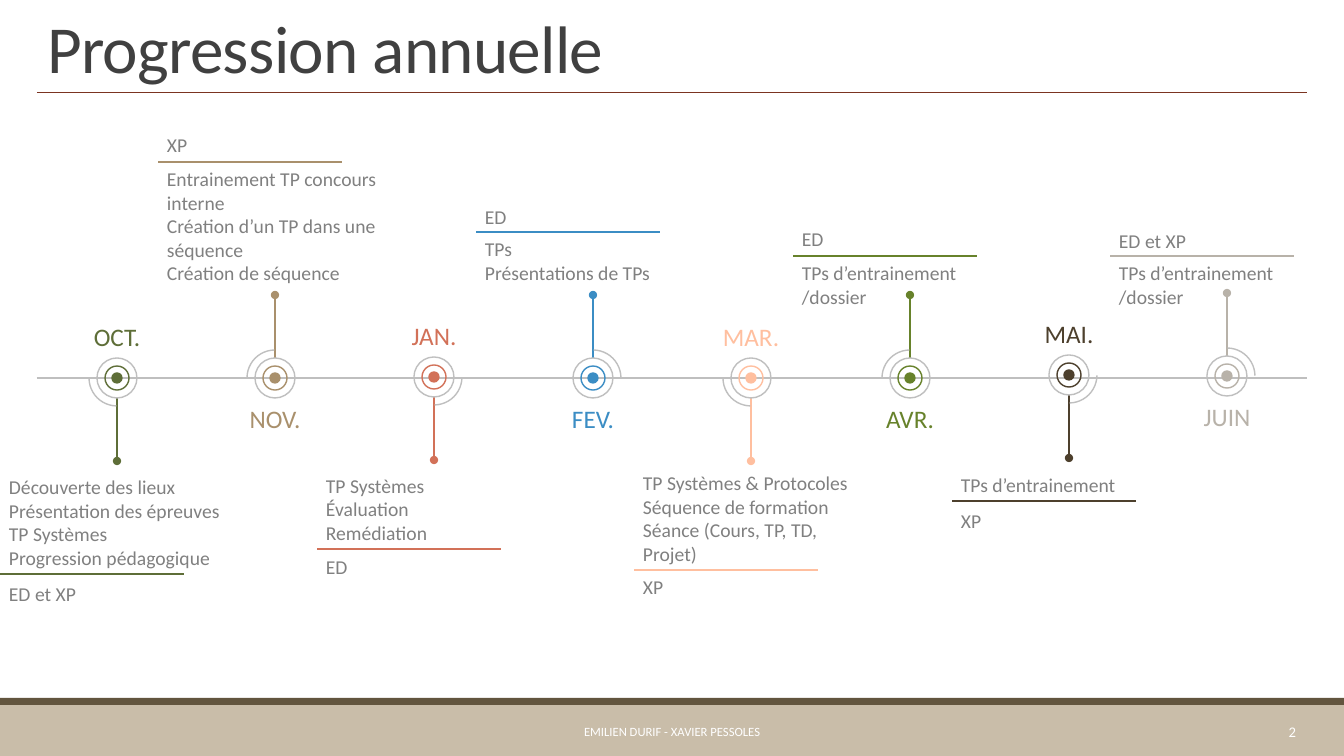
from pptx import Presentation
from pptx.dml.color import RGBColor
from pptx.enum.shapes import MSO_CONNECTOR, MSO_SHAPE
from pptx.enum.text import MSO_ANCHOR, MSO_AUTO_SIZE, PP_ALIGN
from pptx.oxml.ns import qn
from pptx.util import Emu, Pt
from lxml.etree import SubElement

SCALE = 914400 / 100.8
GREY = "BFBFBF"
WHITE = "FFFFFF"


def px(n):
    return Emu(round(n * SCALE))


def tint(code):
    return RGBColor.from_string(code)


class Board:
    font = "Calibri"
    ink = "808080"

    def __init__(self, deck):
        self.slide = deck.slides.add_slide(deck.slide_layouts[5])
        self.shapes = self.slide.shapes

    def fill(self, frame, lines, size, color, align, anchor):
        frame.word_wrap = True
        frame.auto_size = MSO_AUTO_SIZE.NONE
        frame.vertical_anchor = anchor
        for i, line in enumerate(lines):
            para = frame.add_paragraph() if i else frame.paragraphs[0]
            para.alignment = align
            run = para.add_run()
            run.text = line
            run.font.name = self.font
            run.font.size = Pt(size)
            run.font.color.rgb = tint(color)

    def title(self, line, x, y, w, h):
        shape = self.shapes.title
        shape.left, shape.top, shape.width, shape.height = map(px, (x, y, w, h))
        self.fill(shape.text_frame, [line], 48, "404040", PP_ALIGN.LEFT, MSO_ANCHOR.BOTTOM)
        para = shape.text_frame.paragraphs[0]
        para.line_spacing = 0.85
        para.runs[0].font._element.set("spc", "-50")

    def text(self, lines, x, y, w, h, size=14, color=ink,
             align=PP_ALIGN.LEFT, anchor=MSO_ANCHOR.TOP):
        box = self.shapes.add_textbox(px(x), px(y), px(w), px(h))
        self.fill(box.text_frame, lines, size, color, align, anchor)

    def shape(self, kind, x, y, w, h, fill=None, line=None):
        item = self.shapes.add_shape(kind, px(x), px(y), px(w), px(h))
        item.shadow.inherit = False
        if fill:
            item.fill.solid()
            item.fill.fore_color.rgb = tint(fill)
        else:
            item.fill.background()
        if line:
            item.line.color.rgb = tint(line)
            item.line.width = Pt(1)
        else:
            item.line.fill.background()
        return item

    def disc(self, x, y, r, line, fill=None):
        self.shape(MSO_SHAPE.OVAL, x - r, y - r, 2 * r, 2 * r, fill, line)

    def arc(self, x, y, r, right, up):
        item = self.shape(MSO_SHAPE.ARC, x - r, y - r, 2 * r, 2 * r, line=GREY)
        item.adjustments[0] = 54.737
        item.adjustments[1] = 107.45
        frame = item._element.spPr.find(qn("a:xfrm"))
        if right:
            frame.set("flipH", "1")
        if up:
            frame.set("flipV", "1")

    def line(self, x1, y1, x2, y2, color, width=1, dot=False):
        item = self.shapes.add_connector(MSO_CONNECTOR.STRAIGHT, px(x1), px(y1), px(x2), px(y2))
        item.line.color.rgb = tint(color)
        item.line.width = Pt(width)
        if dot:
            SubElement(item._element.spPr.find(qn("a:ln")), qn("a:headEnd"), type="oval")
        SubElement(item._element.spPr, qn("a:effectLst"))

    def stop(self, x, y, name, color, right, up):
        way = -1 if up else 1
        self.line(x, y + 83 * way, x, y + 20 * way, color, dot=True)
        self.disc(x, y, 20, GREY)
        self.disc(x, y, 12, color)
        self.disc(x, y, 5, color, color)
        self.arc(x, y, 28, right, up)
        self.text([name], x - 73, y + 20 if up else y - 62, 146, 40, 18, color, PP_ALIGN.CENTER)

    def note(self, x, y, lines, who, gap, color, up):
        left, wide, tall = x - 118, 238, 129
        self.line(x + 67, y, x - 117, y, color)
        if up:
            self.text(lines, left, y, wide, tall)
            self.text([who], left, y - 34 + gap, wide, 34)
        else:
            self.text(lines, left, y - tall, wide, tall, anchor=MSO_ANCHOR.BOTTOM)
            self.text([who], left, y + gap, wide, 34)


MONTHS = [
    ("OCT.", "5E6E38", 378, False, 574, "ED et XP", 3,
     ["Découverte des lieux", "Présentation des épreuves", "TP Systèmes",
      "Progression pédagogique"]),
    ("NOV.", "A9906C", 378, False, 162, "XP", 0,
     ["Entrainement TP concours interne", "Création d’un TP dans une séquence",
      "Création de séquence"]),
    ("JAN.", "D27158", 377, True, 549, "ED", 1,
     ["TP Systèmes", "Évaluation", "Remédiation"]),
    ("FEV.", "3B8DC4", 378, True, 232, "ED", 2,
     ["TPs", "Présentations de TPs"]),
    ("MAR.", "FFBF9F", 378, False, 570, "XP", 0,
     ["TP Systèmes & Protocoles", "Séquence de formation",
      "Séance (Cours, TP, TD, Projet)"]),
    ("AVR.", "67822B", 378, False, 256, "ED", 0,
     ["TPs d’entrainement", "/dossier"]),
    ("MAI.", "4D402D", 375, True, 501, "XP", 3,
     ["TPs d’entrainement"]),
    ("JUIN", "B8B2A9", 376, True, 256, "ED et XP", 2,
     ["TPs d’entrainement", "/dossier"]),
]

deck = Presentation()
deck.slide_width, deck.slide_height = px(1344), px(756)
board = Board(deck)
board.shape(MSO_SHAPE.RECTANGLE, 0, 705, 1344, 51, "C9BDA9")
board.shape(MSO_SHAPE.RECTANGLE, 0, 698, 1344, 7, "62553E")
board.line(37, 92, 1307, 92, "7B3421", 0.5)
board.title("Progression annuelle", 37, 4, 1270, 88)
board.text(["EMILIEN DURIF - XAVIER PESSOLES"], 275, 712, 794, 40, 9, WHITE,
           PP_ALIGN.CENTER, MSO_ANCHOR.MIDDLE)
board.text(["2"], 1148, 712, 158, 40, 10.5, WHITE, PP_ALIGN.RIGHT, MSO_ANCHOR.MIDDLE)
board.line(37, 378, 1307, 378, GREY)

for i, (name, color, y, right, rule, who, gap, lines) in enumerate(MONTHS):
    x = 117 + 1587 * i // 10
    up = i % 2 == 1
    board.stop(x, y, name, color, right, up)
    board.note(x, rule, lines, who, gap, color, up)

deck.save("out.pptx")
